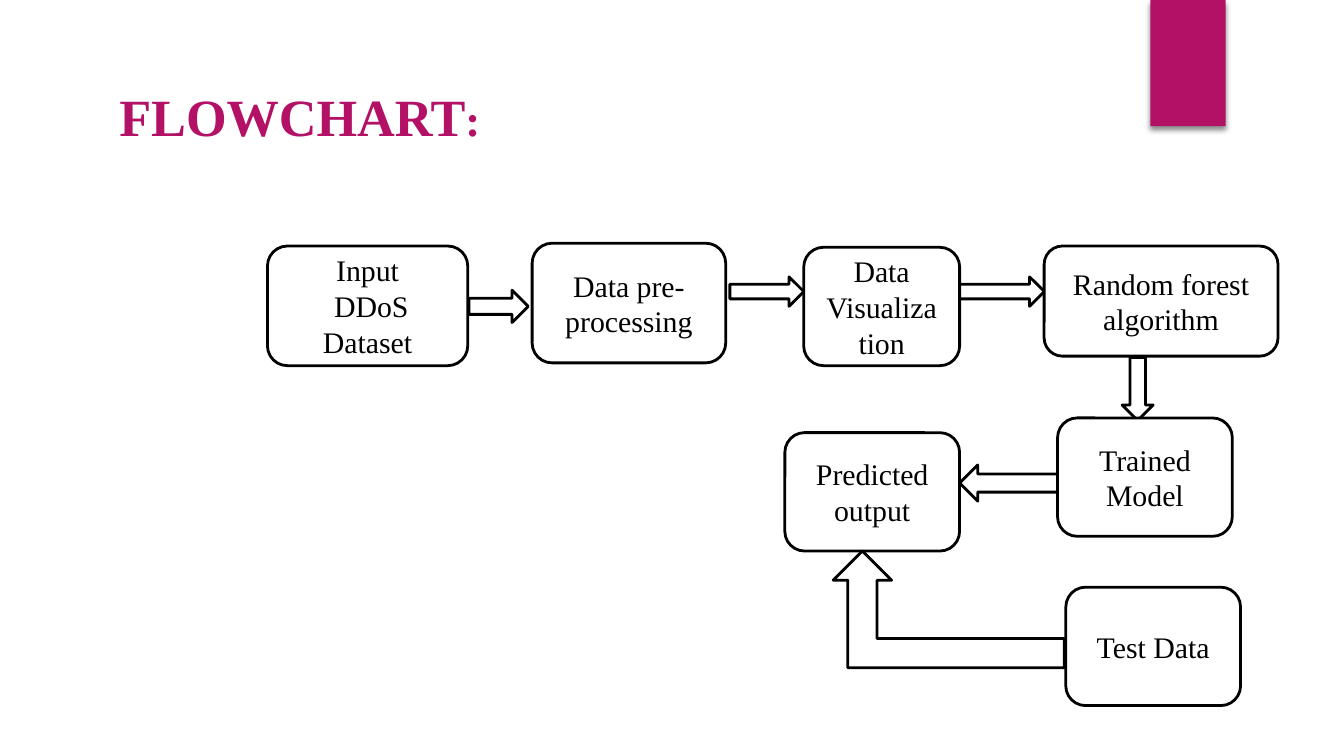
import dataclasses

import lxml.etree
import pptx
import pptx.dml.color
import pptx.enum.shapes
import pptx.enum.text
import pptx.oxml.ns
import pptx.util

Pt = pptx.util.Pt
Shape = pptx.enum.shapes.MSO_SHAPE
Align = pptx.enum.text.PP_ALIGN

COLOURS = {"accent": "B31166", "paper": "FFFFFF", "ink": "000000"}
LABEL_FORMAT = {"name": "Times New Roman", "size": Pt(16)}
TITLE_FORMAT = {"name": "Times New Roman", "size": Pt(28), "bold": True}


@dataclasses.dataclass(frozen=True)
class Bounds:
    left: float
    top: float
    width: float
    height: float

    def lengths(self) -> list:
        return [Pt(value) for value in dataclasses.astuple(self)]


@dataclasses.dataclass(frozen=True)
class Step:
    bounds: Bounds
    lines: tuple


@dataclasses.dataclass(frozen=True)
class Arrow:
    bounds: Bounds
    preset: Shape = Shape.RIGHT_ARROW
    rotation: int = 0
    flipped: bool = False


ARROWS = [
    Arrow(Bounds(251.3, 155.5, 31.7, 17.3)),
    Arrow(Bounds(391, 148.3, 39.6, 15.8)),
    Arrow(Bounds(514.1, 148.3, 45.4, 15.8)),
    Arrow(Bounds(601.2, 191.5, 16.6, 33.8), Shape.DOWN_ARROW),
    Arrow(Bounds(514.1, 249.1, 54.7, 19.4), rotation=180),
]
OUTPUT_ARROW = Arrow(Bounds(446.4, 295.2, 123.8, 62.6), Shape.BENT_UP_ARROW, flipped=True)

STEPS = [
    Step(Bounds(143.3, 131.8, 107.3, 64.1), ("Input", " DDoS Dataset")),
    Step(Bounds(285.1, 130.3, 103.7, 64.1), ("Data pre-processing",)),
    Step(Bounds(430.6, 132.5, 83.5, 63.4), ("Data", "Visualization")),
    Step(Bounds(559.4, 131.8, 125.3, 59), ("Random forest algorithm",)),
    Step(Bounds(566.6, 223.9, 93.6, 63.4), ("Trained Model",)),
    Step(Bounds(420.5, 231.8, 93.6, 63.4), ("Predicted output",)),
    Step(Bounds(571, 314.6, 93.6, 63.4), ("Test Data",)),
]


def colour(name: str) -> pptx.dml.color.RGBColor:
    return pptx.dml.color.RGBColor.from_string(COLOURS[name])


def apply_format(target, values: dict) -> None:
    for name, value in values.items():
        setattr(target, name, value)


def add_run(paragraph, text: str, values: dict, colour_name: str) -> None:
    run = paragraph.add_run()
    run.text = text
    apply_format(run.font, values)
    run.font.color.rgb = colour(colour_name)


def add_filled(slide, preset: Shape, bounds: Bounds, fill: str):
    shape = slide.shapes.add_shape(preset, *bounds.lengths())
    shape.shadow.inherit = False
    shape.fill.solid()
    shape.fill.fore_color.rgb = colour(fill)
    return shape


def add_outlined(slide, preset: Shape, bounds: Bounds):
    shape = add_filled(slide, preset, bounds, "paper")
    shape.line.color.rgb = colour("ink")
    shape.line.width = Pt(1.5)
    return shape


def add_accent(slide) -> None:
    shape = add_filled(slide, Shape.RECTANGLE, Bounds(616.3, 0, 40.3, 67.7), "accent")
    shape.line.fill.background()
    qualify = pptx.oxml.ns.qn
    effects = shape._element.spPr.find(qualify("a:effectLst"))
    shadow = lxml.etree.SubElement(
        effects, qualify("a:outerShdw"), blurRad=str(Pt(3)), dist=str(Pt(2)),
        dir="5400000", rotWithShape="0")
    tint = lxml.etree.SubElement(shadow, qualify("a:srgbClr"), val=COLOURS["ink"])
    lxml.etree.SubElement(tint, qualify("a:alpha"), val="45000")


def add_title(slide) -> None:
    box = slide.shapes.add_textbox(*Bounds(56.9, 41.8, 254.2, 41).lengths())
    apply_format(box.text_frame, {
        "word_wrap": True,
        "auto_size": pptx.enum.text.MSO_AUTO_SIZE.SHAPE_TO_FIT_TEXT,
    })
    paragraph = box.text_frame.paragraphs[0]
    add_run(paragraph, "FLOWCHART", TITLE_FORMAT, "accent")
    add_run(paragraph, ":", TITLE_FORMAT | {"size": Pt(24)}, "accent")


def add_arrow(slide, arrow: Arrow) -> None:
    shape = add_outlined(slide, arrow.preset, arrow.bounds)
    shape.rotation = arrow.rotation
    if arrow.flipped:
        shape._element.spPr.xfrm.set("flipH", "1")


def add_step(slide, step: Step) -> None:
    shape = add_outlined(slide, Shape.ROUNDED_RECTANGLE, step.bounds)
    frame = shape.text_frame
    apply_format(frame, {
        "word_wrap": True,
        "vertical_anchor": pptx.enum.text.MSO_ANCHOR.MIDDLE,
    })
    for index, line in enumerate(step.lines):
        paragraph = frame.add_paragraph() if index else frame.paragraphs[0]
        paragraph.alignment = Align.CENTER
        add_run(paragraph, line, LABEL_FORMAT, "ink")


def main() -> None:
    presentation = pptx.Presentation()
    apply_format(presentation, {"slide_width": Pt(720), "slide_height": Pt(405)})
    slide = presentation.slides.add_slide(presentation.slide_layouts[6])
    add_accent(slide)
    for arrow in ARROWS:
        add_arrow(slide, arrow)
    add_title(slide)
    for step in STEPS:
        add_step(slide, step)
    add_arrow(slide, OUTPUT_ARROW)
    presentation.save("out.pptx")


if __name__ == "__main__":
    main()
